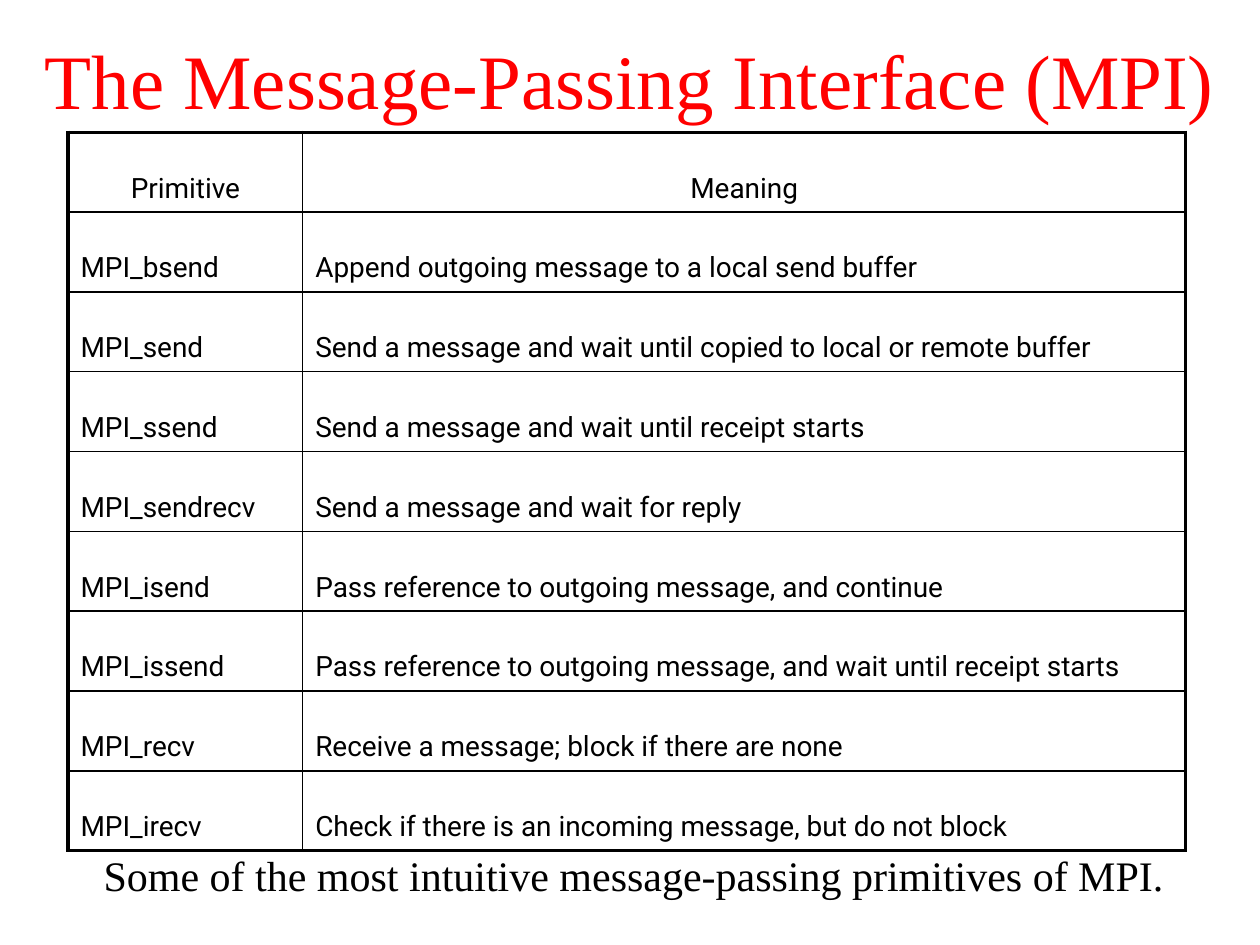
from lxml.etree import SubElement
from pptx import Presentation
from pptx.dml.color import RGBColor
from pptx.enum.text import MSO_ANCHOR, PP_ALIGN
from pptx.oxml.ns import qn
from pptx.util import Inches, Pt

ROWS = [
    ("Primitive", "Meaning"),
    ("MPI_bsend", "Append outgoing message to a local send buffer"),
    ("MPI_send", "Send a message and wait until copied to local or remote buffer"),
    ("MPI_ssend", "Send a message and wait until receipt starts"),
    ("MPI_sendrecv", "Send a message and wait for reply"),
    ("MPI_isend", "Pass reference to outgoing message, and continue"),
    ("MPI_issend", "Pass reference to outgoing message, and wait until receipt starts"),
    ("MPI_recv", "Receive a message; block if there are none"),
    ("MPI_irecv", "Check if there is an incoming message, but do not block"),
]
COL_SHARES = (0.21, 0.79)
THIN, THICK = 1, 2.25
BLACK, RED = "000000", "FF0000"
SERIF, SANS = "Times New Roman", "Roboto"


def rgb(color):
    return RGBColor.from_string(color)


def write(tf, text, color=BLACK, align=PP_ALIGN.CENTER, line_spacing=None, **font):
    p = tf.paragraphs[0]
    p.alignment = align
    p.line_spacing = line_spacing
    r = p.add_run()
    r.text = text
    for name, value in font.items():
        setattr(r.font, name, value)
    r.font.color.rgb = rgb(color)


def add_text(s, box, text, anchor, **fmt):
    tf = s.shapes.add_textbox(*map(Inches, box)).text_frame
    tf.word_wrap = True
    tf.vertical_anchor = anchor
    write(tf, text, **fmt)


def set_borders(cell, widths):
    tc_pr = cell._tc.get_or_add_tcPr()
    for side, width in widths.items():
        ln = SubElement(tc_pr, qn(f"a:ln{side}"), w=str(Pt(width)))
        fill = SubElement(ln, qn("a:solidFill"))
        SubElement(fill, qn("a:srgbClr"), val=BLACK)


def add_primitives(s, box):
    last_row, last_col = len(ROWS) - 1, len(COL_SHARES) - 1
    left, top, width, height = map(Inches, box)
    table = s.shapes.add_table(len(ROWS), len(COL_SHARES), left, top, width, height).table
    table.first_row = table.horz_banding = False
    for col, share in zip(table.columns, COL_SHARES):
        col.width = int(width * share)
    for i, texts in enumerate(ROWS):
        for j, text in enumerate(texts):
            cell = table.cell(i, j)
            set_borders(cell, {
                "L": THICK if j == 0 else THIN,
                "R": THICK if j == last_col else THIN,
                "T": THICK if i == 0 else THIN,
                "B": THICK if i == last_row else THIN,
            })
            cell.fill.background()
            cell.vertical_anchor = MSO_ANCHOR.MIDDLE
            align = PP_ALIGN.CENTER if i == 0 else PP_ALIGN.LEFT
            write(cell.text_frame, text, align=align, line_spacing=2.0,
                  size=Pt(16), name=SANS)


def main():
    prs = Presentation()
    prs.slide_width, prs.slide_height = Inches(10), Inches(7.5)
    s = prs.slides.add_slide(prs.slide_layouts[6])
    add_text(s, (0, 0, 10, 1.25), "The Message-Passing Interface (MPI)",
             MSO_ANCHOR.MIDDLE, color=RED, size=Pt(44), name=SERIF)
    add_text(s, (0.57, 6.69, 8.92, 0.63),
             "Some of the most intuitive message-passing primitives of MPI.",
             MSO_ANCHOR.TOP, size=Pt(24), name=SERIF)
    add_primitives(s, (0.54, 1.05, 8.87, 5.7))
    prs.save("out.pptx")


if __name__ == "__main__":
    main()
